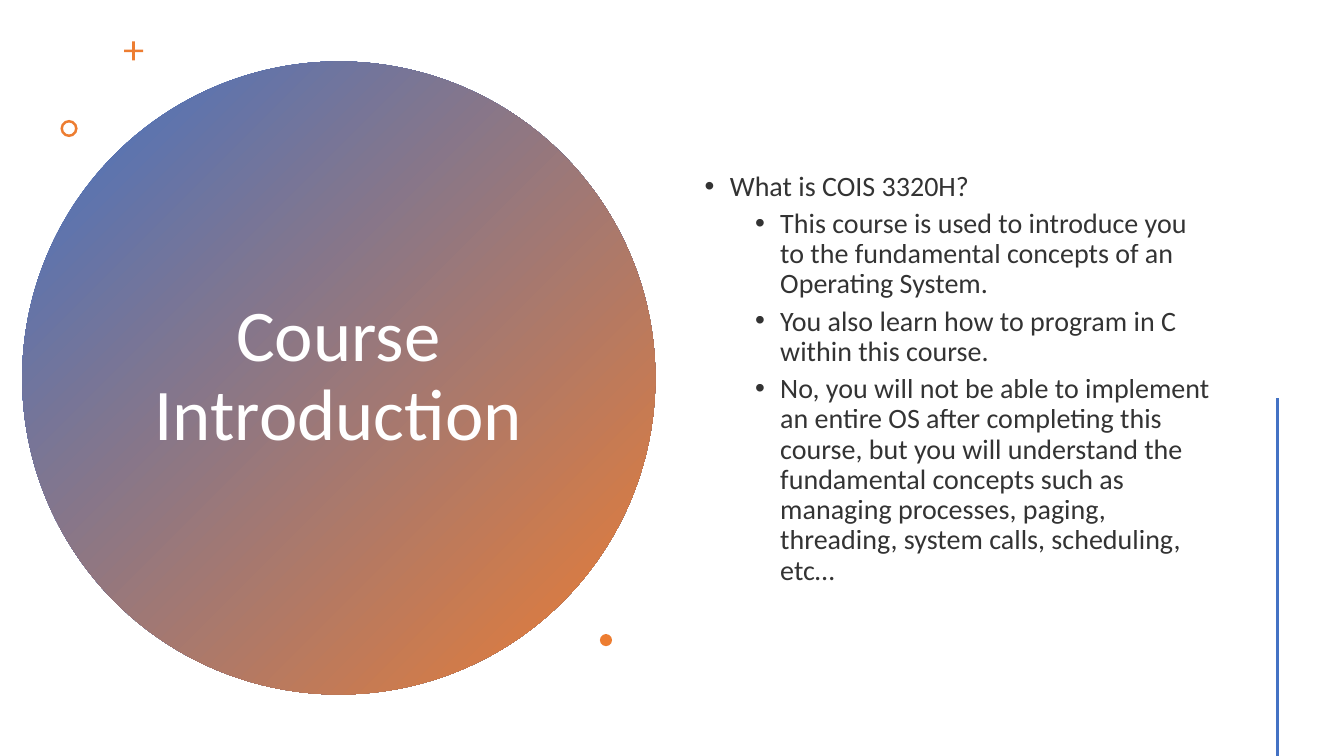
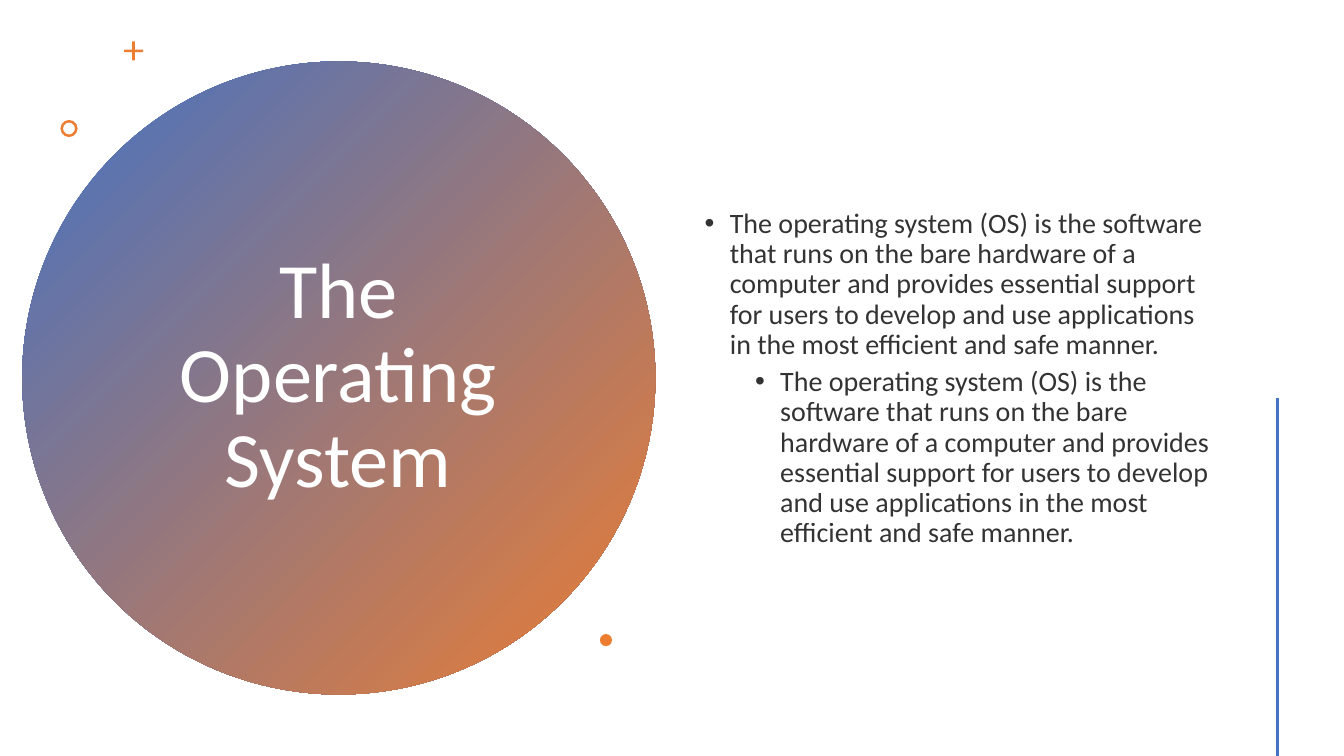
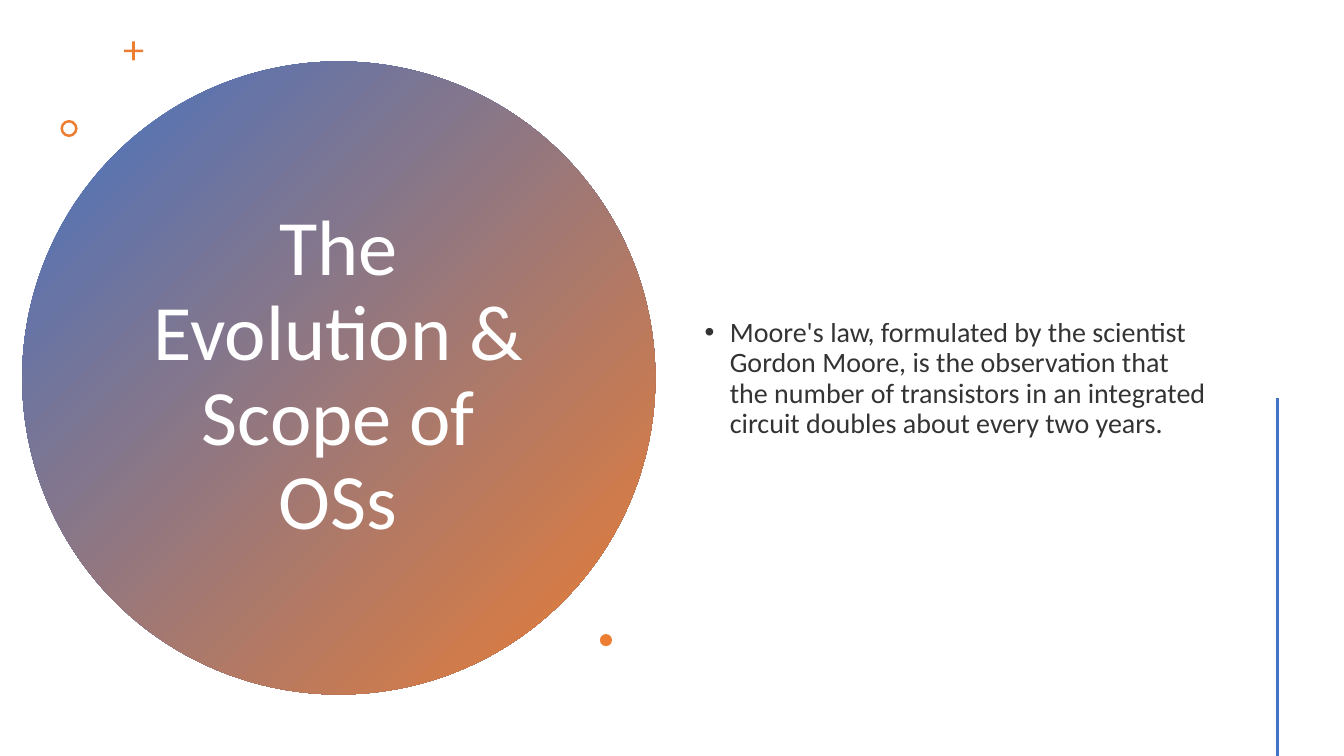
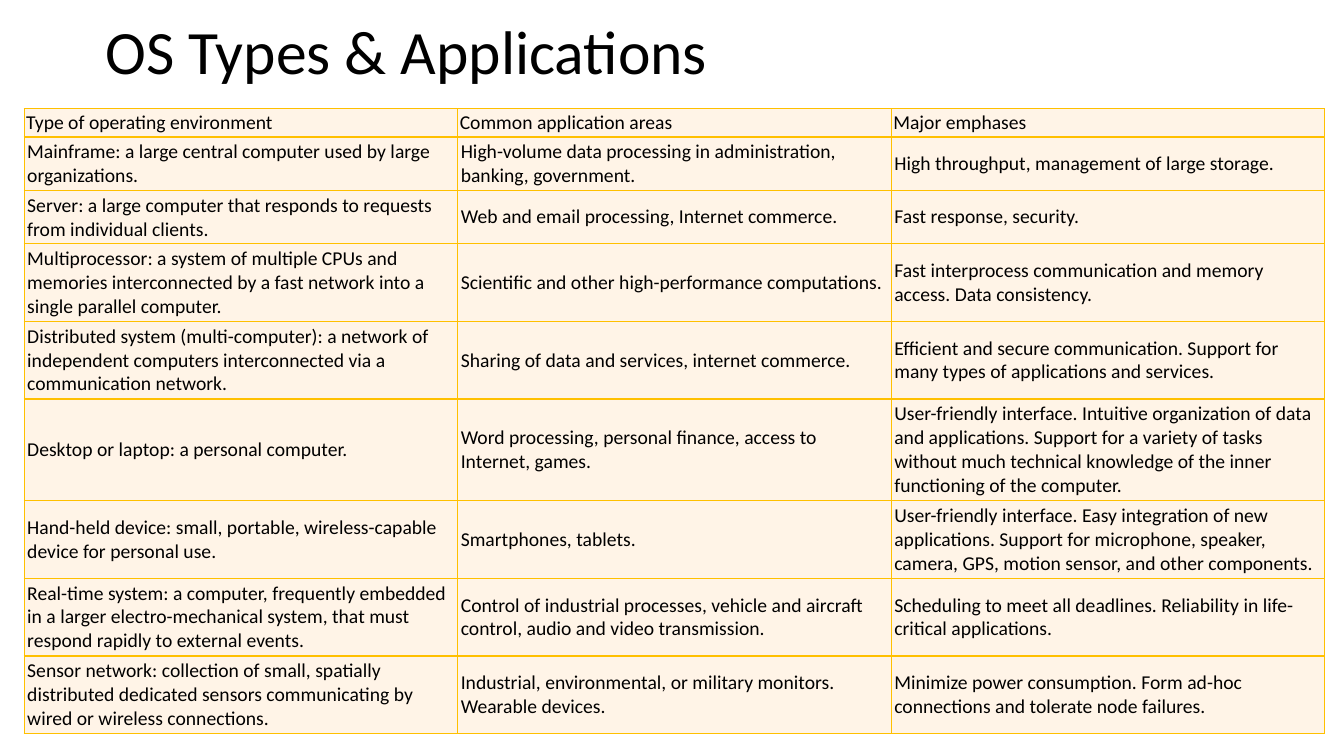
from lxml import etree
from pptx import Presentation
from pptx.dml.color import RGBColor
from pptx.enum.shapes import MSO_CONNECTOR, MSO_SHAPE
from pptx.enum.text import MSO_ANCHOR, PP_ALIGN
from pptx.oxml.ns import qn
from pptx.util import Inches, Pt

OVAL, RING, CROSS = MSO_SHAPE.OVAL, MSO_SHAPE.DONUT, MSO_SHAPE.CROSS
LINE = MSO_CONNECTOR.STRAIGHT
MIDDLE = MSO_ANCHOR.MIDDLE
LEFT, CENTER = PP_ALIGN.LEFT, PP_ALIGN.CENTER

BLUE = RGBColor(0x44, 0x72, 0xC4)
ORANGE = RGBColor(0xED, 0x7D, 0x31)
GOLD = RGBColor(0xFF, 0xC0, 0x00)
CREAM = RGBColor(0xFF, 0xF4, 0xE7)
WHITE = RGBColor(0xFF, 0xFF, 0xFF)
BLACK = RGBColor(0, 0, 0)
FONT = "Calibri"

OS_TEXT = (
    "The operating system (OS) is the software that runs on the bare hardware "
    "of a computer and provides essential support for users to develop and use "
    "applications in the most efficient and safe manner."
)
TOPICS = [
    ("Course Introduction", 52, [
        (0, "What is COIS 3320H?"),
        (1, "This course is used to introduce you to the fundamental concepts "
            "of an Operating System."),
        (1, "You also learn how to program in C within this course."),
        (1, "No, you will not be able to implement an entire OS after "
            "completing this course, but you will understand the fundamental "
            "concepts such as managing processes, paging, threading, system "
            "calls, scheduling, etc…"),
    ]),
    ("The Operating System", 56, [(0, OS_TEXT), (1, OS_TEXT)]),
    ("The Evolution & Scope of OSs", 56, [
        (0, "Moore's law, formulated by the scientist Gordon Moore, is the "
            "observation that the number of transistors in an integrated "
            "circuit doubles about every two years."),
    ]),
]
ROWS = [
    ("Type of operating environment", "Common application areas",
     "Major emphases"),
    ("Mainframe: a large central computer used by large organizations.",
     "High-volume data processing in administration, banking, government.",
     "High throughput, management of large storage."),
    ("Server: a large computer that responds to requests from individual clients.",
     "Web and email processing, Internet commerce.",
     "Fast response, security."),
    ("Multiprocessor: a system of multiple CPUs and memories interconnected by "
     "a fast network into a single parallel computer.",
     "Scientific and other high-performance computations.",
     "Fast interprocess communication and memory access. Data consistency."),
    ("Distributed system (multi-computer): a network of independent computers "
     "interconnected via a communication network.",
     "Sharing of data and services, internet commerce.",
     "Efficient and secure communication. Support for many types of "
     "applications and services."),
    ("Desktop or laptop: a personal computer.",
     "Word processing, personal finance, access to Internet, games.",
     "User-friendly interface. Intuitive organization of data and applications. "
     "Support for a variety of tasks without much technical knowledge of the "
     "inner functioning of the computer."),
    ("Hand-held device: small, portable, wireless-capable device for personal use.",
     "Smartphones, tablets.",
     "User-friendly interface. Easy integration of new applications. Support "
     "for microphone, speaker, camera, GPS, motion sensor, and other components."),
    ("Real-time system: a computer, frequently embedded in a larger "
     "electro-mechanical system, that must respond rapidly to external events.",
     "Control of industrial processes, vehicle and aircraft control, audio and "
     "video transmission.",
     "Scheduling to meet all deadlines. Reliability in life-critical applications."),
    ("Sensor network: collection of small, spatially distributed dedicated "
     "sensors communicating by wired or wireless connections.",
     "Industrial, environmental, or military monitors. Wearable devices.",
     "Minimize power consumption. Form ad-hoc connections and tolerate node "
     "failures."),
]
HIGHS = [0.28, 0.53, 0.53, 0.77, 0.77, 1.01, 0.77, 0.77, 0.77]


def style(para, size, color):
    for run in para.runs:
        run.font.name = FONT
        run.font.size = Pt(size)
        run.font.color.rgb = color


def add_box(slide, left, top, width, height):
    box = slide.shapes.add_textbox(
        Inches(left), Inches(top), Inches(width), Inches(height))
    frame = box.text_frame
    frame.word_wrap = True
    frame.vertical_anchor = MIDDLE
    return frame


def add_title(slide, text, area, size, color, align):
    frame = add_box(slide, *area)
    frame.text = text
    para = frame.paragraphs[0]
    para.alignment = align
    para.line_spacing = 0.9
    style(para, size, color)


def add_mark(slide, kind, left, top, size, adjust=None):
    mark = slide.shapes.add_shape(
        kind, Inches(left), Inches(top), Inches(size), Inches(size))
    mark.shadow.inherit = False
    mark.line.fill.background()
    mark.fill.solid()
    mark.fill.fore_color.rgb = ORANGE
    if adjust is not None:
        mark.adjustments[0] = adjust
    return mark


def add_disc(slide):
    fill = add_mark(slide, OVAL, 0.22, 0.61, 6.28).fill
    fill.gradient()
    fill.gradient_angle = 315
    for stop, color in zip(fill.gradient_stops, (BLUE, ORANGE)):
        stop.color.rgb = color


def add_rule(slide):
    rule = slide.shapes.add_connector(
        LINE, Inches(12.67), Inches(3.95), Inches(12.67), Inches(7.5))
    rule.line.color.rgb = BLUE
    rule.line.width = Pt(2)
    etree.SubElement(rule._element.spPr, qn("a:effectLst"))


def add_list(slide, items):
    frame = add_box(slide, 6.89, 0.57, 5.22, 6.38)
    for num, (level, text) in enumerate(items):
        para = frame.add_paragraph() if num else frame.paragraphs[0]
        para.text = text
        para.level = level
        props = para._p.get_or_add_pPr()
        props.set("marL", str(Inches(0.25 + 0.5 * level)))
        props.set("indent", str(Inches(-0.25)))
        etree.SubElement(props, qn("a:buFont"), typeface="Arial")
        etree.SubElement(props, qn("a:buChar"), char="•")
        para.line_spacing = 0.9
        if num:
            para.space_before = Pt(5)
        style(para, 20, BLACK)
        for tint in para._p.iter(qn("a:srgbClr")):
            etree.SubElement(tint, qn("a:alpha"), val="80000")


def add_edges(cell):
    props = cell._tc.get_or_add_tcPr()
    for num, side in enumerate(("lnL", "lnR", "lnT", "lnB")):
        edge = etree.Element(qn("a:" + side), w=str(Pt(1)))
        fill = etree.SubElement(edge, qn("a:solidFill"))
        etree.SubElement(fill, qn("a:srgbClr"), val=str(GOLD))
        props.insert(num, edge)


def fill_cell(cell, text, inset):
    cell.text = text
    cell.vertical_anchor = MIDDLE
    cell.margin_left = cell.margin_right = Inches(inset)
    cell.margin_top = cell.margin_bottom = Inches(inset)
    cell.fill.solid()
    cell.fill.fore_color.rgb = CREAM
    style(cell.text_frame.paragraphs[0], 14, BLACK)
    add_edges(cell)


def add_grid(slide, rows, highs):
    table = slide.shapes.add_table(
        len(rows), len(rows[0]), Inches(0.24), Inches(1.08),
        Inches(12.9), Inches(sum(highs))).table
    table.first_row = False
    table.horz_banding = False
    for num, (texts, high) in enumerate(zip(rows, highs)):
        table.rows[num].height = Inches(high)
        for col, text in enumerate(texts):
            fill_cell(table.cell(num, col), text, 0.03 if num else 0.02)


def add_topic(slide, title, size, items):
    add_disc(slide)
    add_title(slide, title, (1.36, 1.41, 3.99, 4.67), size, WHITE, CENTER)
    add_mark(slide, CROSS, 1.23, 0.41, 0.19, 0.43)
    add_mark(slide, RING, 0.6, 1.19, 0.17, 0.15)
    add_list(slide, items)
    add_mark(slide, OVAL, 5.95, 6.29, 0.12)
    add_rule(slide)


def main():
    deck = Presentation()
    deck.slide_width = Inches(13.33)
    deck.slide_height = Inches(7.5)
    blank = deck.slide_layouts[6]
    for title, size, items in TOPICS:
        add_topic(deck.slides.add_slide(blank), title, size, items)
    slide = deck.slides.add_slide(blank)
    add_title(slide, "OS Types & Applications", (0.95, -0.18, 11.5, 1.45),
              44, BLACK, LEFT)
    add_grid(slide, ROWS, HIGHS)
    deck.save("out.pptx")


if __name__ == "__main__":
    main()
